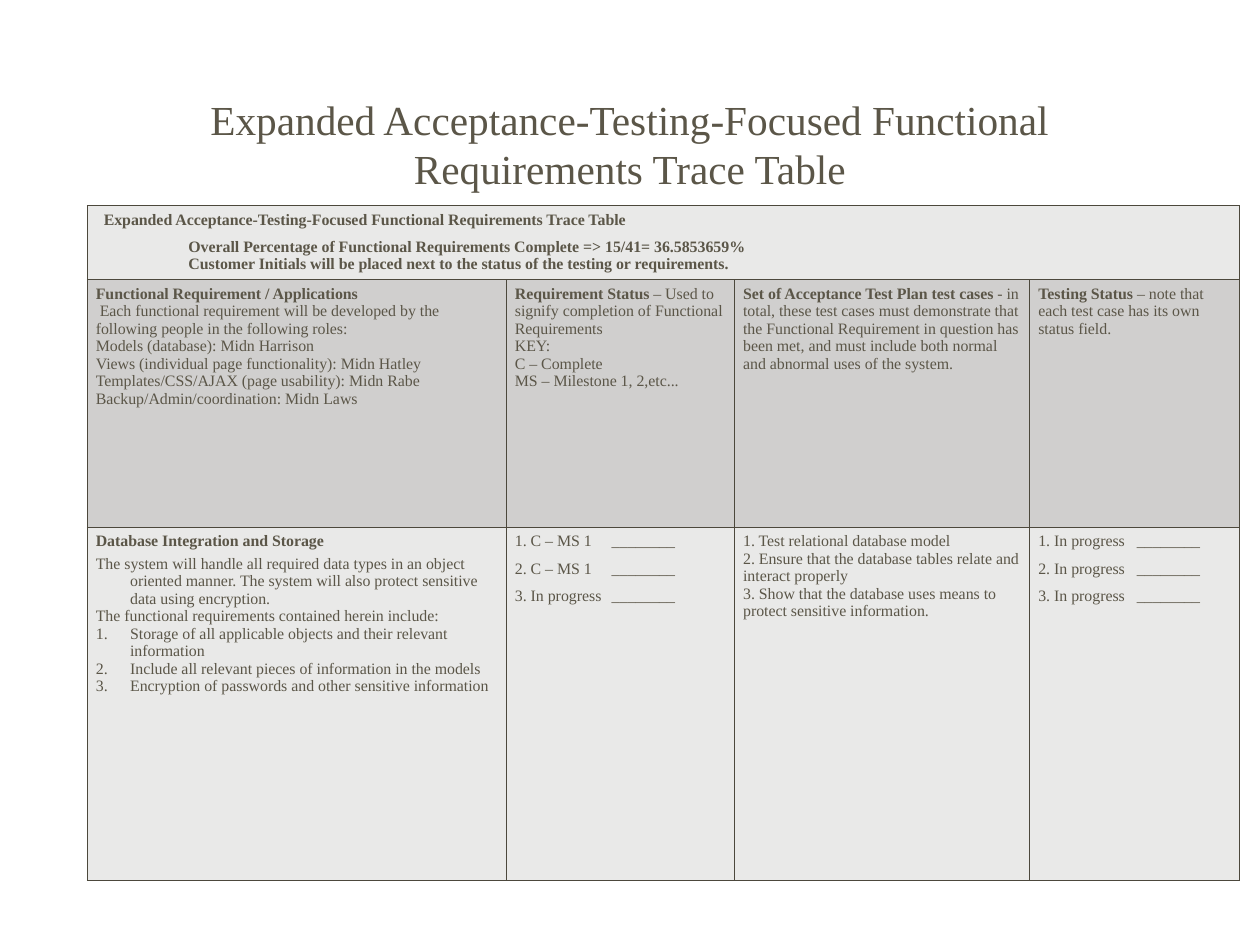
from dataclasses import dataclass

from lxml.etree import SubElement
from pptx import Presentation
from pptx.dml.color import RGBColor
from pptx.enum.text import MSO_ANCHOR as Anchor, MSO_AUTO_SIZE as AutoSize, PP_ALIGN as Align
from pptx.oxml.ns import qn
from pptx.table import _Cell as Cell
from pptx.text.text import _Paragraph as Paragraph
from pptx.util import Pt

FONT = "Times New Roman"
INK, BORDER = "5B5648", "4C483C"
LIGHT, SHADED = "E9E9E8", "D0CFCE"

COLUMN_WIDTHS = (264, 143.8, 186, 131.9)
ROW_HEIGHTS = (46.6, 156, 222.4)


@dataclass(frozen=True)
class Line:
    """One paragraph: a bold lead followed by plain text."""
    lead: str = ""
    plain: str = ""
    margin: float = 0
    first_indent: float = 0
    before: float = 0
    after: float = 0
    numbered: bool = False


def color(value: str) -> RGBColor:
    return RGBColor.from_string(value)


def add_run(paragraph: Paragraph, text: str, size: float, bold: bool = False) -> None:
    run = paragraph.add_run()
    run.text = text
    run.font.name = FONT
    run.font.size = Pt(size)
    run.font.bold = bold
    run.font.color.rgb = color(INK)


def set_indent(paragraph: Paragraph, line: Line) -> None:
    """Set the margin, first-line indent and numbering."""
    properties = paragraph._p.get_or_add_pPr()
    properties.set("marL", str(Pt(line.margin)))
    properties.set("indent", str(Pt(line.first_indent)))
    if line.numbered:
        SubElement(properties, qn("a:buAutoNum"), type="arabicPeriod")


def write_lines(cell: Cell, lines: list[Line]) -> None:
    frame = cell.text_frame
    for index, line in enumerate(lines):
        paragraph = frame.add_paragraph() if index else frame.paragraphs[0]
        paragraph.space_before = Pt(line.before)
        paragraph.space_after = Pt(line.after)
        set_indent(paragraph, line)
        if line.lead:
            add_run(paragraph, line.lead, 10, bold=True)
        if line.plain:
            add_run(paragraph, line.plain, 10)


def style_cell(cell: Cell, fill: str) -> None:
    cell.margin_left = cell.margin_right = Pt(5.4)
    cell.margin_top = cell.margin_bottom = Pt(3.6)
    properties = cell._tc.get_or_add_tcPr()
    for side in ("lnL", "lnR", "lnT", "lnB"):
        edge = SubElement(properties, qn(f"a:{side}"), w=str(Pt(0.45)))
        solid = SubElement(edge, qn("a:solidFill"))
        SubElement(solid, qn("a:srgbClr"), val=BORDER)
    cell.fill.solid()
    cell.fill.fore_color.rgb = color(fill)


def hanging(text: str, numbered: bool = False) -> Line:
    return Line(plain=text, margin=21.6, first_indent=-21.6, numbered=numbered)


def sign_off(statuses: list[str], blank_start: float) -> list[Line]:
    """Number each status and give it a blank for the customer's initials."""
    return [Line(plain=f"{number}. {status}\t________", after=6,
                 margin=blank_start, first_indent=-blank_start)
            for number, status in enumerate(statuses, 1)]


SUMMARY = [
    Line("Expanded Acceptance-Testing-Focused Functional Requirements Trace Table",
         margin=5, after=6),
    Line("Overall Percentage of Functional Requirements Complete => 15/41= 36.5853659%",
         margin=58.3),
    Line("Customer Initials will be placed next to the status of the testing or requirements.",
         margin=58.3),
]
HEADINGS = [
    [
        Line("Functional Requirement / Applications"),
        Line(plain="Each functional requirement will be developed by the", margin=2.5),
        Line(plain="following people in the following roles:"),
        Line(plain="Models (database): Midn Harrison"),
        Line(plain="Views (individual page functionality): Midn Hatley"),
        Line(plain="Templates/CSS/AJAX (page usability): Midn Rabe"),
        Line(plain="Backup/Admin/coordination: Midn Laws"),
    ],
    [
        Line("Requirement Status ", "– Used to signify completion of Functional Requirements"),
        Line(plain="KEY:"),
        Line(plain="C – Complete"),
        Line(plain="MS – Milestone 1, 2,etc..."),
    ],
    [Line("Set of Acceptance Test Plan test cases",
          " - in total, these test cases must demonstrate that the Functional Requirement "
          "in question has been met, and must include both normal and abnormal uses of "
          "the system.")],
    [Line("Testing Status", " – note that each test case has its own status field.")],
]
DATABASE = [
    [
        Line("Database Integration and Storage", margin=21.6, first_indent=-21.6,
             before=6, after=3),
        hanging("The system will handle all required data types in an object oriented manner. "
                "The system will also protect sensitive data using encryption."),
        hanging("The functional requirements contained herein include:"),
        hanging("Storage of all applicable objects and their relevant information", True),
        hanging("Include all relevant pieces of information in the models", True),
        hanging("Encryption of passwords and other sensitive information", True),
    ],
    sign_off(["C – MS 1", "C – MS 1", "In progress"], 61),
    [
        Line(plain="1. Test relational database model"),
        Line(plain="2. Ensure that the database tables relate and interact properly"),
        Line(plain="3. Show that the database uses means to protect sensitive information."),
    ],
    sign_off(["In progress"] * 3, 62),
]


def main() -> None:
    deck = Presentation()
    deck.slide_width, deck.slide_height = Pt(793.75), Pt(595.25)
    slide = deck.slides.add_slide(deck.slide_layouts[5])

    title = slide.shapes.title
    title.left, title.top, title.width, title.height = Pt(62), Pt(34), Pt(670), Pt(113)
    heading = title.text_frame
    heading.word_wrap = True
    heading.auto_size = AutoSize.NONE
    heading.vertical_anchor = Anchor.MIDDLE
    heading.margin_left = heading.margin_right = Pt(3)
    heading.margin_top = heading.margin_bottom = Pt(3)
    heading.paragraphs[0].alignment = Align.CENTER
    add_run(heading.paragraphs[0],
            "Expanded Acceptance-Testing-Focused Functional Requirements Trace Table", 26)

    trace = slide.shapes.add_table(
        len(ROW_HEIGHTS), len(COLUMN_WIDTHS), Pt(55), Pt(129.5),
        Pt(sum(COLUMN_WIDTHS)), Pt(sum(ROW_HEIGHTS))).table
    trace.first_row = trace.horz_banding = False
    for column, width in zip(trace.columns, COLUMN_WIDTHS):
        column.width = Pt(width)
    for row, height, fill in zip(trace.rows, ROW_HEIGHTS, (LIGHT, SHADED, LIGHT)):
        row.height = Pt(height)
        for cell in row.cells:
            style_cell(cell, fill)

    trace.cell(0, 0).merge(trace.cell(0, len(COLUMN_WIDTHS) - 1))
    write_lines(trace.cell(0, 0), SUMMARY)
    for row_index, contents in enumerate((HEADINGS, DATABASE), 1):
        for column_index, lines in enumerate(contents):
            write_lines(trace.cell(row_index, column_index), lines)

    deck.save("out.pptx")


if __name__ == "__main__":
    main()
